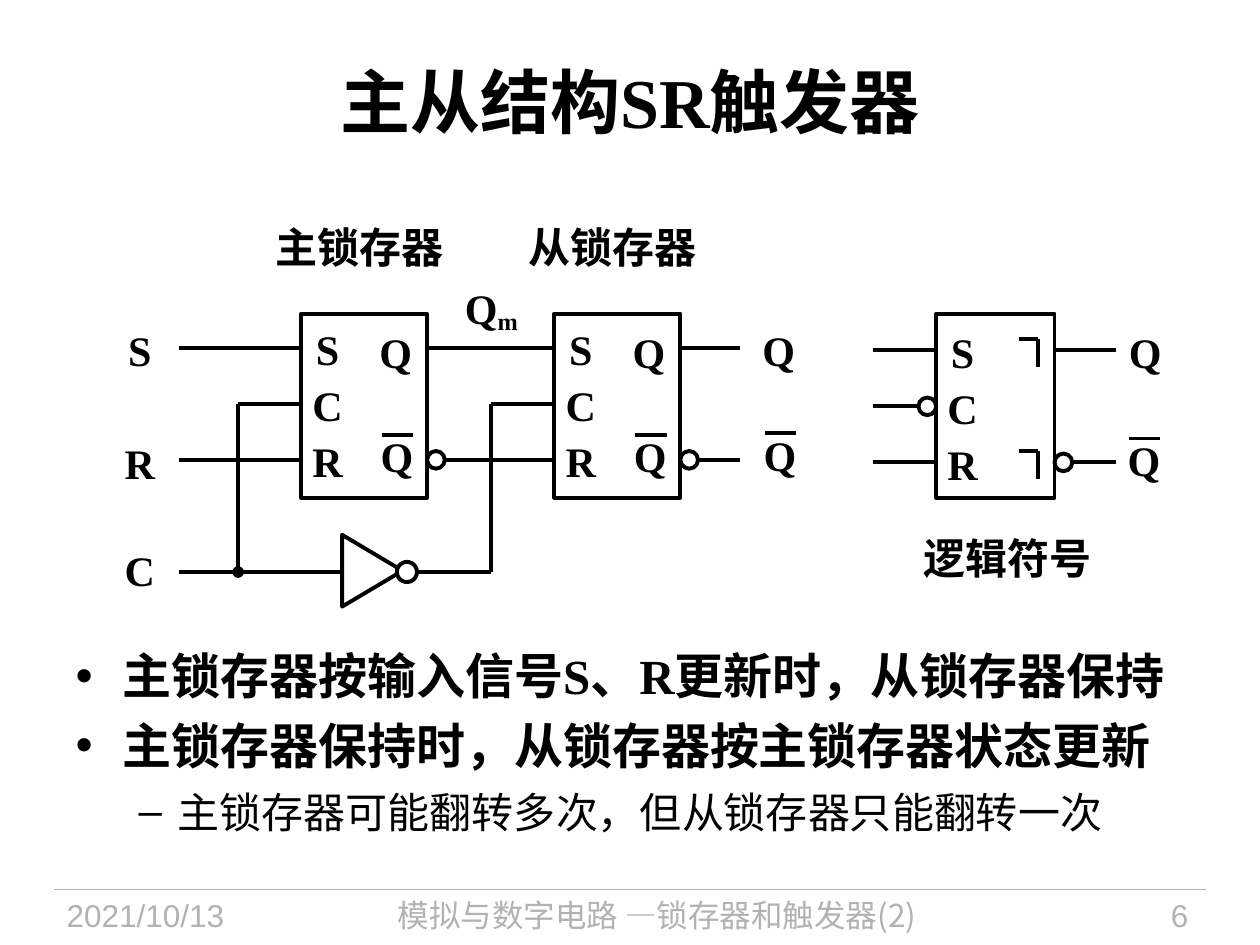
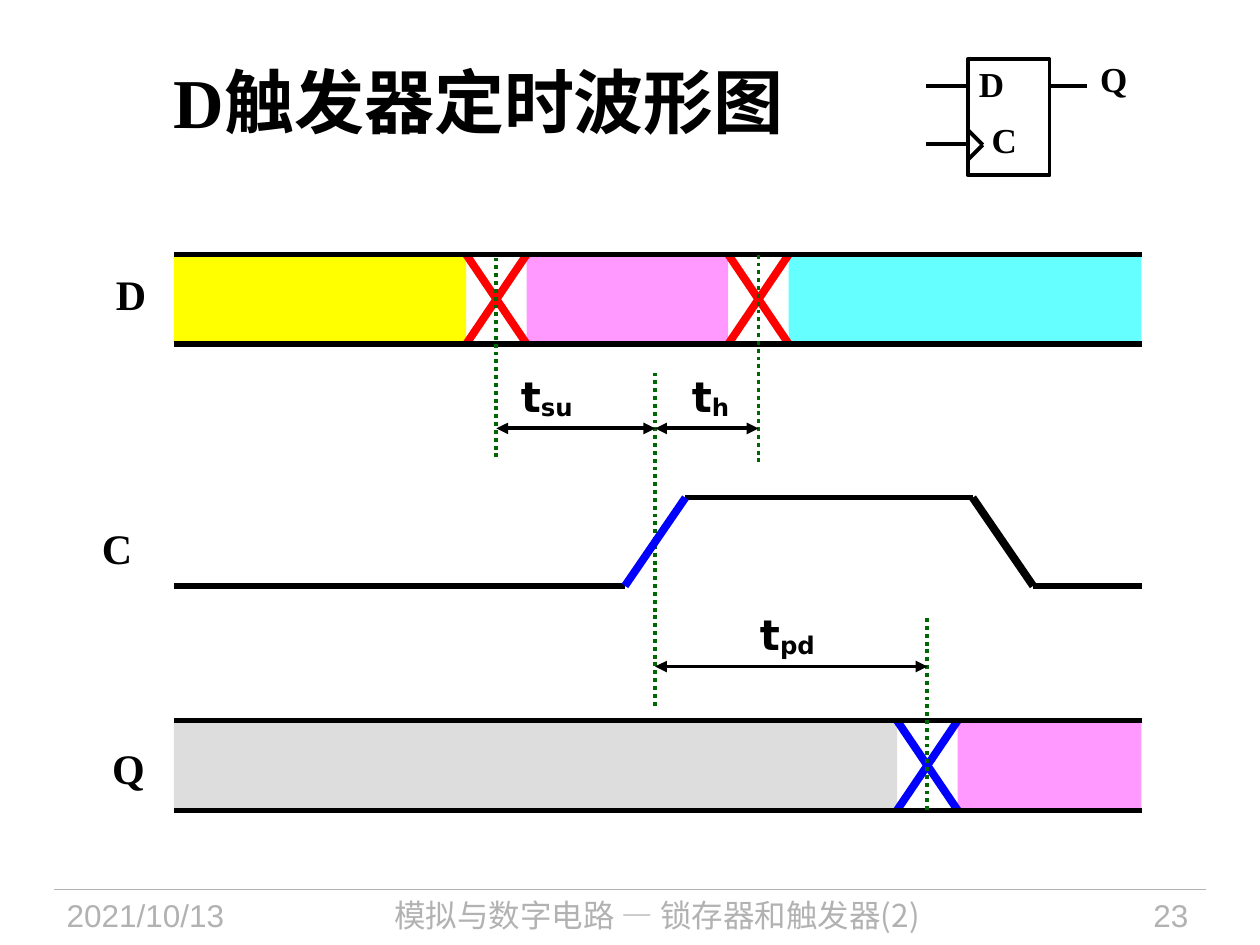
from dataclasses import dataclass

from lxml.etree import SubElement
from pptx import Presentation
from pptx.dml.color import RGBColor
from pptx.enum.dml import MSO_LINE
from pptx.enum.shapes import MSO_CONNECTOR, MSO_SHAPE
from pptx.enum.text import MSO_ANCHOR, MSO_AUTO_SIZE, PP_ALIGN
from pptx.oxml.ns import qn
from pptx.util import Inches, Pt


@dataclass(frozen=True)
class Theme:
    ink: str = "000000"
    paper: str = "FFFFFF"
    muted: str = "B2B2B2"
    red: str = "FF0000"
    blue: str = "0000FF"
    green: str = "006600"
    yellow: str = "FFFF00"
    pink: str = "FF99FF"
    cyan: str = "66FFFF"
    grey: str = "DDDDDD"
    serif: str = "Times New Roman"
    sans: str = "Arial"
    timing: str = "DejaVu Sans"
    chinese: str = "Noto Sans CJK SC"
    title: float = 40
    body: float = 28
    label: float = 24
    small_label: float = 20
    footer: float = 18
    hairline: float = 0.75
    wire: float = 2.25
    rail: float = 3
    edge: float = 4.5


THEME = Theme()
WIDTH, HEIGHT = 10, 7.5
FOOTER_TOP = 7.06
TITLE_BOX = (0.5, 0.17, 9, 1.25)
BODY_BOX = (0.5, 5.07, 9, 1.96)
DATE = "2021/10/13"

LATCH_SLIDE = {
    "title": "主从结构SR触发器",
    "footer": "模拟与数字电路 —锁存器和触发器(2)",
    "number": "6",
    "points": [
        (0, "主锁存器按输入信号S、R更新时，从锁存器保持"),
        (0, "主锁存器保持时，从锁存器按主锁存器状态更新"),
        (1, "主锁存器可能翻转多次，但从锁存器只能翻转一次"),
    ],
}
TIMING_SLIDE = {
    "title": "D触发器定时波形图",
    "footer": "模拟与数字电路 — 锁存器和触发器(2)",
    "number": "23",
}

BOX_TOP, BOX_HEIGHT, BOX_WIDTH = 2.49, 1.46, 1
PIN_TOP, PIN_GAP = 2.76, 0.445
BUBBLE = 0.07
MASTER_LEFT, SLAVE_LEFT = 2.39, 4.4
SYMBOL_LEFT, SYMBOL_WIDTH = 7.43, 0.94
WIRE_START, BRANCH, INVERTED, CLOCK_ROW = 1.42, 1.89, 3.9, 4.54

START, END = 1.38, 9.06
LANE_HEIGHT, HALF_EDGE = 0.71, 0.24
SETUP, RISE, HOLD, OUTPUT, FALL = 3.94, 5.2, 6.02, 7.36, 7.96
CLOCK_HIGH, CLOCK_LOW = 3.95, 4.65
LANES = [
    (2.02, (THEME.yellow, THEME.pink, THEME.cyan), (SETUP, HOLD), THEME.red),
    (5.72, (THEME.grey, THEME.pink), (OUTPUT,), THEME.blue),
]
SIGNALS = [("D", 1.04, 2.33), ("C", 0.93, 4.35), ("Q", 1.02, 6.09)]
MARKERS = [(SETUP, 2.02, 3.63), (HOLD, 2.02, 3.67), (RISE, 2.96, 5.6), (OUTPUT, 4.89, 6.43)]
INTERVALS = [
    (SETUP, RISE, 3.4, "su", 4.34),
    (RISE, HOLD, 3.4, "h", 5.64),
    (RISE, OUTPUT, 5.29, "pd", 6.25),
]


def color(value):
    return RGBColor.from_string(value)


def box(left, top, width, height):
    return Inches(left), Inches(top), Inches(width), Inches(height)


def style(paragraph, size, name=THEME.serif, ink=THEME.ink, bold=True):
    font = paragraph.font
    font.size, font.name, font.bold = Pt(size), name, bold
    font.color.rgb = color(ink)
    properties = paragraph._p.get_or_add_pPr().find(qn("a:defRPr"))
    SubElement(properties, qn("a:ea"), typeface=THEME.chinese)


def place(shape, bounds):
    shape.left, shape.top, shape.width, shape.height = box(*bounds)


def text(slide, words, bounds, align, **font):
    frame = slide.shapes.add_textbox(*box(*bounds)).text_frame
    frame.word_wrap = True
    paragraph = frame.paragraphs[0]
    paragraph.alignment = align
    paragraph.add_run().text = words
    style(paragraph, **font)
    return paragraph


def label(slide, words, x, y, subscript="", drop=10, size=THEME.label, name=THEME.serif):
    paragraph = text(slide, words, (x - 0.85, y - 0.25, 1.7, 0.5), PP_ALIGN.CENTER,
                     size=size, name=name)
    if subscript:
        run = paragraph.add_run()
        run.text = subscript
        run._r.get_or_add_rPr().set("baseline", str(-1000 * drop))


def line(slide, start, end, ink=THEME.ink, width=THEME.wire, dash=None, head=None, tail=None):
    points = [Inches(value) for value in (*start, *end)]
    connector = slide.shapes.add_connector(MSO_CONNECTOR.STRAIGHT, *points)
    connector.line.color.rgb = color(ink)
    connector.line.width = Pt(width)
    if dash:
        connector.line.dash_style = dash
    for tag, kind in (("a:headEnd", head), ("a:tailEnd", tail)):
        if kind:
            SubElement(connector.line._get_or_add_ln(), qn(tag), type=kind)
    SubElement(connector._element.spPr, qn("a:effectLst"))


def outline(slide, kind, bounds, fill=None, ink=THEME.ink):
    shape = slide.shapes.add_shape(kind, *box(*bounds))
    shape.shadow.inherit = False
    if fill:
        shape.fill.solid()
        shape.fill.fore_color.rgb = color(fill)
    else:
        shape.fill.background()
    if ink:
        shape.line.color.rgb = color(ink)
        shape.line.width = Pt(THEME.wire)
    else:
        shape.line.fill.background()
    return shape


def bubble(slide, x, y, radius=BUBBLE):
    outline(slide, MSO_SHAPE.OVAL, (x - radius, y - radius, 2 * radius, 2 * radius), THEME.paper)


def barred_q(slide, x, y):
    label(slide, "Q", x, y)
    line(slide, (x - 0.12, y - 0.17), (x + 0.13, y - 0.17))


def start_slide(presentation, layout, content):
    slide = presentation.slides.add_slide(presentation.slide_layouts[layout])
    place(slide.shapes.title, TITLE_BOX)
    frame = slide.shapes.title.text_frame
    frame.text = content["title"]
    frame.auto_size = MSO_AUTO_SIZE.NONE
    frame.vertical_anchor = MSO_ANCHOR.MIDDLE
    style(frame.paragraphs[0], THEME.title)
    line(slide, (0.43, FOOTER_TOP), (WIDTH - 0.43, FOOTER_TOP), THEME.muted, THEME.hairline)
    for words, left, width, align, name in (
        (DATE, 0.43, 1.88, PP_ALIGN.LEFT, THEME.sans),
        (content["footer"], 2.4, 5.63, PP_ALIGN.CENTER, THEME.chinese),
        (content["number"], 8.2, 1.33, PP_ALIGN.RIGHT, THEME.sans),
    ):
        text(slide, words, (left, FOOTER_TOP, width, HEIGHT - FOOTER_TOP), align,
             size=THEME.footer, name=name, ink=THEME.muted, bold=False)
    return slide


def pin_rows(offset=0):
    return [PIN_TOP + offset + index * PIN_GAP for index in range(3)]


def latch(slide, left, width, rows):
    outline(slide, MSO_SHAPE.RECTANGLE, (left, BOX_TOP, width, BOX_HEIGHT))
    for name, row in zip("SCR", rows):
        label(slide, name, left + 0.21, row + 0.01)
    bubble(slide, left + width + BUBBLE, rows[2])


def draw_circuit(slide):
    rows = set_row, clock_row, reset_row = pin_rows()
    master_right, slave_right = MASTER_LEFT + BOX_WIDTH, SLAVE_LEFT + BOX_WIDTH
    for row in (set_row, reset_row):
        for start, end in ((WIRE_START, MASTER_LEFT), (master_right, SLAVE_LEFT),
                           (slave_right, slave_right + 0.47)):
            line(slide, (start, row), (end, row))
    line(slide, (WIRE_START, CLOCK_ROW), (INVERTED, CLOCK_ROW))
    line(slide, (BRANCH, CLOCK_ROW), (BRANCH, clock_row), head="oval")
    line(slide, (INVERTED, CLOCK_ROW), (INVERTED, clock_row))
    line(slide, (BRANCH, clock_row), (MASTER_LEFT, clock_row))
    line(slide, (INVERTED, clock_row), (SLAVE_LEFT, clock_row))
    inverter = outline(slide, MSO_SHAPE.ISOSCELES_TRIANGLE, (2.67, 4.29, 0.57, 0.48), THEME.paper)
    inverter.rotation = 90
    bubble(slide, 3.23, CLOCK_ROW, 0.08)
    for left, name in ((MASTER_LEFT, "主锁存器"), (SLAVE_LEFT, "从锁存器")):
        latch(slide, left, BOX_WIDTH, rows)
        label(slide, "Q", left + 0.75, set_row + 0.03)
        barred_q(slide, left + 0.76, reset_row - 0.03)
        label(slide, name, left + 0.46, 1.96, name=THEME.sans)
    for name, row in (("S", 2.78), ("R", 3.67), ("C", 4.52)):
        label(slide, name, 1.11, row)
    label(slide, "Q", 6.18, set_row + 0.02)
    barred_q(slide, 6.19, reset_row - 0.04)
    label(slide, "Q", 3.9, 2.44, "m", 15)


def draw_symbol(slide):
    rows = set_row, clock_row, reset_row = pin_rows(0.02)
    right = SYMBOL_LEFT + SYMBOL_WIDTH
    for row in rows:
        line(slide, (SYMBOL_LEFT - 0.5, row), (SYMBOL_LEFT, row))
    for row in (set_row, reset_row):
        line(slide, (right, row), (right + 0.49, row))
        corner = right - 0.13, row - 0.09
        line(slide, (corner[0] - 0.15, corner[1]), corner)
        line(slide, corner, (corner[0], corner[1] + 0.22))
    latch(slide, SYMBOL_LEFT, SYMBOL_WIDTH, rows)
    bubble(slide, SYMBOL_LEFT - BUBBLE, clock_row)
    label(slide, "Q", 9.09, set_row + 0.01)
    barred_q(slide, 9.08, reset_row - 0.02)
    label(slide, "逻辑符号", 8, 4.43, name=THEME.sans)


def build_latch_slide(presentation):
    slide = start_slide(presentation, 1, LATCH_SLIDE)
    draw_circuit(slide)
    draw_symbol(slide)
    body = slide.placeholders[1]
    place(body, BODY_BOX)
    frame = body.text_frame
    frame.text = "\n".join(words for _, words in LATCH_SLIDE["points"])
    frame.auto_size = MSO_AUTO_SIZE.NONE
    for index, (level, _) in enumerate(LATCH_SLIDE["points"]):
        paragraph = frame.paragraphs[index]
        size = THEME.label if level else THEME.body
        paragraph.level = level
        paragraph.space_before = Pt(0.2 * size if index else 0)
        paragraph.line_spacing = Pt(31 if level else 34)
        style(paragraph, size, bold=level == 0)


def draw_lane(slide, top, fills, crossings, ink):
    bottom = top + LANE_HEIGHT
    lefts = [START] + [x + HALF_EDGE for x in crossings]
    rights = [x - HALF_EDGE for x in crossings] + [END]
    for fill, left, right in zip(fills, lefts, rights):
        outline(slide, MSO_SHAPE.RECTANGLE, (left, top, right - left, LANE_HEIGHT), fill, None)
    for x in crossings:
        for first, last in ((top, bottom), (bottom, top)):
            line(slide, (x - HALF_EDGE, first), (x + HALF_EDGE, last), ink, THEME.edge)
    for y in (top, bottom):
        line(slide, (START, y), (END, y), width=THEME.rail)


def draw_clock(slide):
    for start, end, y in ((START, RISE - HALF_EDGE, CLOCK_LOW),
                          (RISE + HALF_EDGE, FALL - HALF_EDGE, CLOCK_HIGH),
                          (FALL + HALF_EDGE, END, CLOCK_LOW)):
        line(slide, (start, y), (end, y), width=THEME.rail)
    for x, first, last, ink in ((RISE, CLOCK_LOW, CLOCK_HIGH, THEME.blue),
                                (FALL, CLOCK_HIGH, CLOCK_LOW, THEME.ink)):
        line(slide, (x - HALF_EDGE, first), (x + HALF_EDGE, last), ink, THEME.edge)


def draw_flip_flop(slide):
    left, top, width, height = 7.68, 0.47, 0.65, 0.92
    data_row, clock_row = 0.68, 1.14
    outline(slide, MSO_SHAPE.RECTANGLE, (left, top, width, height))
    for row in (data_row, clock_row):
        line(slide, (left - 0.33, row), (left, row))
    line(slide, (left + width, data_row), (left + width + 0.3, data_row))
    for offset in (-0.12, 0.12):
        line(slide, (left, clock_row + 0.01 + offset), (left + 0.12, clock_row + 0.01))
    for name, x, y in (("D", 7.87, 0.7), ("C", 7.97, 1.14), ("Q", 8.84, 0.66)):
        label(slide, name, x, y, size=THEME.small_label)


def build_timing_slide(presentation):
    slide = start_slide(presentation, 5, TIMING_SLIDE)
    title = slide.shapes.title.text_frame
    title.margin_left = Inches(0.88)
    title.paragraphs[0].alignment = PP_ALIGN.LEFT
    for lane in LANES:
        draw_lane(slide, *lane)
    for x, top, bottom in MARKERS:
        line(slide, (x, bottom), (x, top), THEME.green, dash=MSO_LINE.ROUND_DOT)
    draw_clock(slide)
    for start, end, y, subscript, x in INTERVALS:
        line(slide, (start, y), (end, y), head="triangle", tail="triangle")
        label(slide, "t", x, y - 0.26, subscript, name=THEME.timing)
    for signal in SIGNALS:
        label(slide, *signal)
    draw_flip_flop(slide)


def main():
    presentation = Presentation()
    presentation.slide_width, presentation.slide_height = Inches(WIDTH), Inches(HEIGHT)
    build_latch_slide(presentation)
    build_timing_slide(presentation)
    presentation.save("out.pptx")


if __name__ == "__main__":
    main()
